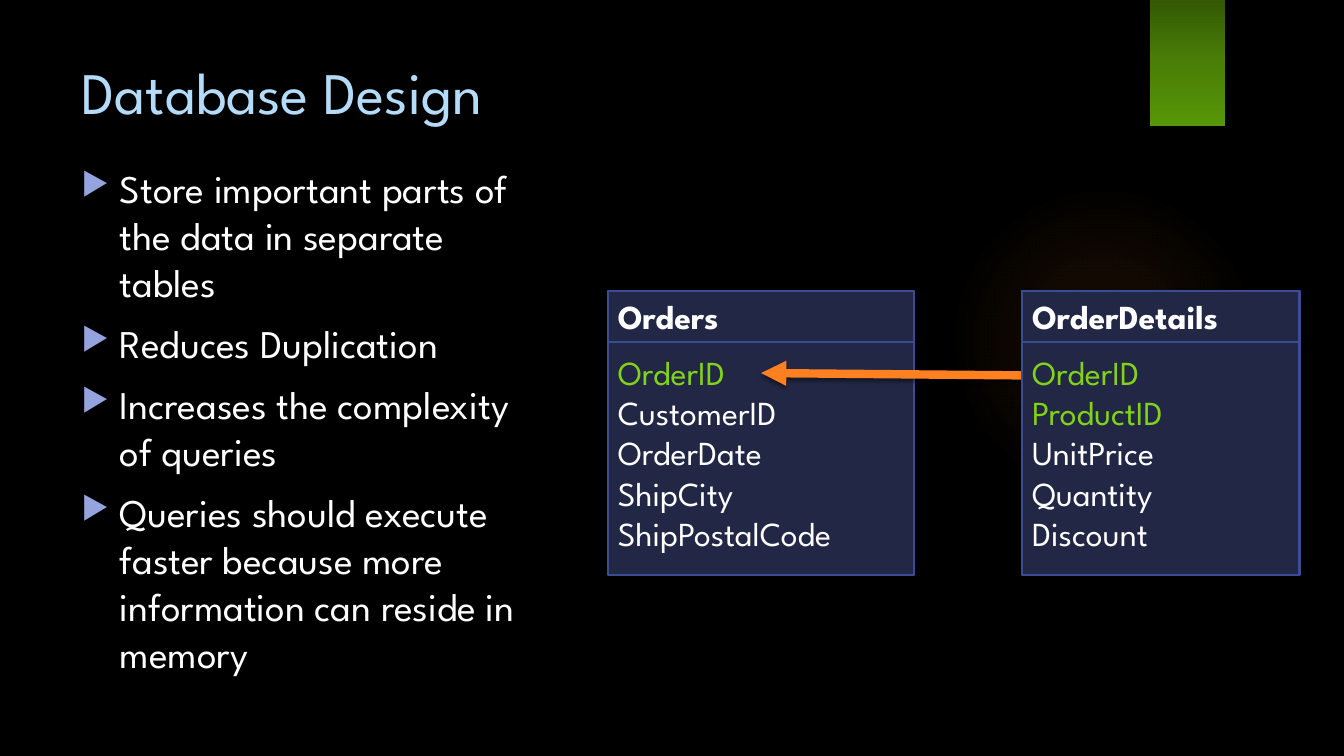
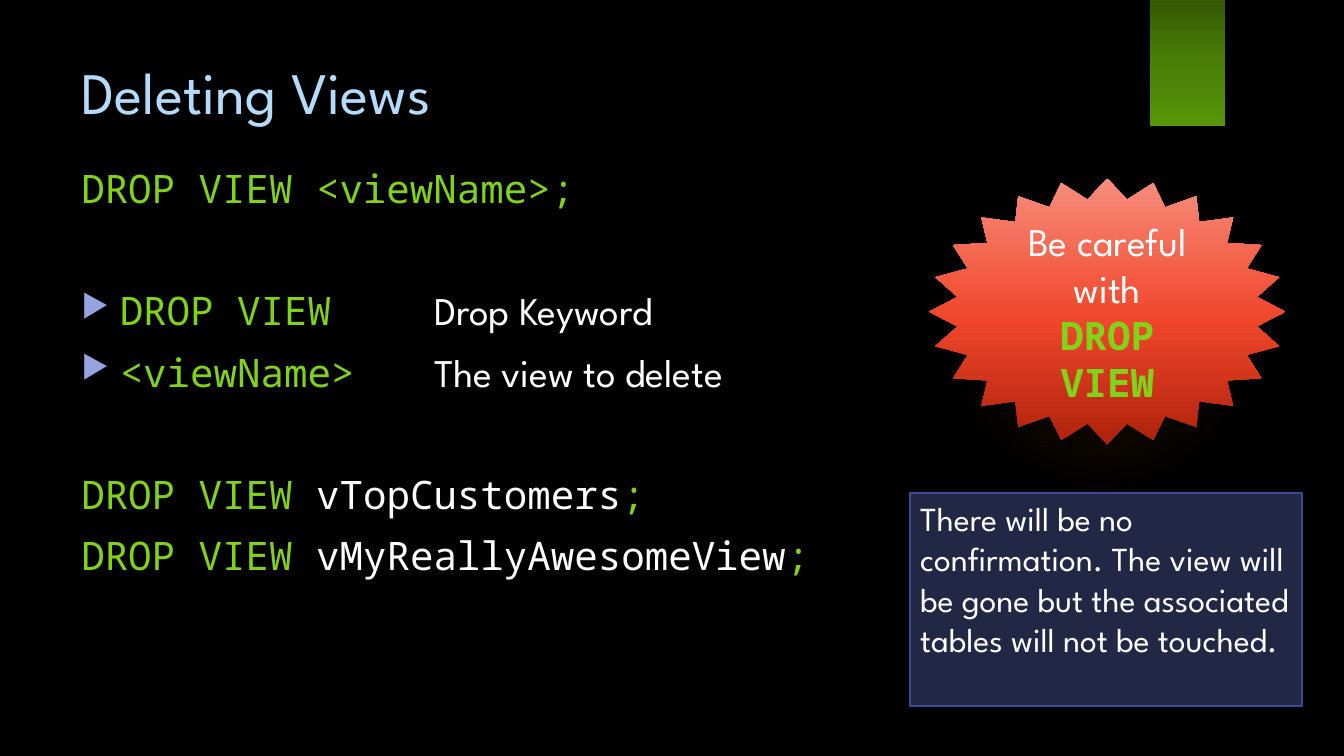
from lxml import etree
from pptx import Presentation
from pptx import util as u
from pptx.dml.color import RGBColor
from pptx.enum import shapes, text
from pptx.oxml.ns import qn

COLORS = {
    "black": "000000", "white": "FFFFFF", "sky": "B4DCFA", "lime": "81D31A",
    "navy": "212745", "edge": "3A4C94", "bullet": "95A4DE", "orange": "FF8021",
}
SANS, MONO = "League Spartan", "Noto Sans Mono"
STYLES = {
    "title": {"size": 42, "name": SANS, "color": "sky"},
    "body": {"size": 28, "name": SANS, "color": "white"},
    "code": {"size": 28, "name": MONO, "color": "lime"},
    "view": {"size": 28, "name": MONO, "color": "white"},
    "warn": {"size": 28, "name": MONO, "color": "lime", "bold": True},
    "warn_gap": {"size": 16, "name": MONO, "color": "lime", "bold": True},
    "head": {"size": 24, "name": SANS, "color": "white", "bold": True},
    "field": {"size": 24, "name": SANS, "color": "white"},
    "key": {"size": 24, "name": SANS, "color": "lime"},
}
GLOW = [(0, "FF8021", 7), (36, "FF8021", 6), (69, "FF8021", 0)]
GREEN = [(0, "345905", 100), (50, "4A7F07", 100), (100, "579608", 100)]
RED = [(0, "AE220B", 100), (48, "F1472B", 100), (100, "F78D7C", 100)]
SOFT, DEEP = (45, 3, 2, 90), (40, 4, 3, 45)
INDENT, TAB = 0.97, 8.89

REASONS = [
    "Store important parts of the data in separate tables",
    "Reduces Duplication",
    "Increases the complexity of queries",
    "Queries should execute faster because more information can reside in memory",
]
TABLES = [
    {"name": "Orders", "left": 15.32, "width": 7.72, "keys": ["OrderID"],
     "fields": ["CustomerID", "OrderDate", "ShipCity", "ShipPostalCode"]},
    {"name": "OrderDetails", "left": 25.76, "width": 6.99, "keys": ["OrderID", "ProductID"],
     "fields": ["UnitPrice", "Quantity", "Discount"]},
]
CARD_TOP, CARD_HEIGHT, HEAD_HEIGHT = 7.34, 7.16, 1.27
SYNTAX = [
    {"runs": [("DROP VIEW <viewName>;", "code")]},
    {"runs": [("DROP VIEW", "code"), ("\tDrop Keyword", "body")], "bullet": True, "before": 54},
    {"runs": [("<viewName>", "code"), ("\tThe view to delete", "body")], "bullet": True},
    {"runs": [("DROP VIEW ", "code"), ("vTopCustomers", "view"), (";", "code")], "before": 54},
    {"runs": [("DROP VIEW ", "code"), ("vMyReallyAwesomeView", "view"), (";", "code")]},
]
WARNING = [("Be careful with", "body"), None,
           ("DROP", "warn"), (" ", "warn_gap"), ("VIEW", "warn")]
NOTE = ("There will be no confirmation. The view will be gone "
        "but the associated tables will not be touched.")


def box(*lengths):
    return [u.Cm(v) for v in lengths]


def rgb(name):
    return RGBColor.from_string(COLORS[name])


def sub(parent, tag, **attrs):
    el = etree.SubElement(parent, qn("a:" + tag))
    for k, v in attrs.items():
        el.set(k, str(v))
    return el


def color(parent, value, alpha=100):
    clr = sub(parent, "srgbClr", val=value)
    if alpha < 100:
        sub(clr, "alpha", val=alpha * 1000)


def gradient(sp, stops, angle=None):
    sp.fill.gradient()
    grad = sp._element.spPr.find(qn("a:gradFill"))
    for child in list(grad):
        grad.remove(child)
    gs = sub(grad, "gsLst")
    for pos, value, alpha in stops:
        color(sub(gs, "gs", pos=pos * 1000), value, alpha)
    if angle is None:
        sub(sub(grad, "path", path="circle"), "fillToRect", l=50000, t=50000, r=50000, b=50000)
    else:
        sub(grad, "lin", ang=angle * 60000, scaled=0)


def shadow(sp, alpha, blur, dist, angle):
    effects = sp._element.spPr.find(qn("a:effectLst"))
    if effects is None:
        effects = sub(sp._element.spPr, "effectLst")
    outer = sub(effects, "outerShdw", blurRad=u.Pt(blur), dist=u.Pt(dist),
                dir=angle * 60000, algn="tl", rotWithShape=0)
    color(outer, COLORS["black"], alpha)


def add_shape(parent, kind, area, shade=None):
    sp = parent.shapes.add_shape(kind, *box(*area))
    sp.shadow.inherit = False
    sp.line.fill.background()
    if shade:
        shadow(sp, *shade)
    return sp


def add_panel(parent, area, shade=None):
    sp = add_shape(parent, shapes.MSO_SHAPE.RECTANGLE, area, shade)
    sp.fill.solid()
    sp.fill.fore_color.rgb = rgb("navy")
    sp.line.color.rgb = rgb("edge")
    sp.line.width = u.Pt(1.5)
    return sp


def add_bullet(p):
    pPr = p._p.get_or_add_pPr()
    pPr.set("marL", str(u.Cm(INDENT)))
    pPr.set("indent", str(-u.Cm(INDENT)))
    color(sub(pPr, "buClr"), COLORS["bullet"])
    sub(pPr, "buSzPct", val=80000)
    sub(pPr, "buChar", char="▶")
    sub(sub(pPr, "tabLst"), "tab", pos=u.Cm(TAB), algn="l")


def write(tf, paras, before=0, align=text.PP_ALIGN.LEFT, **frame):
    for k, v in {"word_wrap": True, "vertical_anchor": text.MSO_ANCHOR.TOP, **frame}.items():
        setattr(tf, k, v)
    for i, para in enumerate(paras):
        p = tf.add_paragraph() if i else tf.paragraphs[0]
        p.alignment = align
        if para.get("bullet"):
            add_bullet(p)
        if i:
            p.space_before = u.Pt(para.get("before", before))
        for run in para["runs"]:
            if run is None:
                p.add_line_break()
                continue
            r = p.add_run()
            r.text = run[0]
            fmt = dict(STYLES[run[1]])
            r.font.color.rgb = rgb(fmt.pop("color"))
            fmt["size"] = u.Pt(fmt["size"])
            for k, v in fmt.items():
                setattr(r.font, k, v)


def lines(items, style, **extra):
    return [{"runs": [(item, style)], **extra} for item in items]


def add_slide(prs, title):
    s = prs.slides.add_slide(prs.slide_layouts[5])
    gradient(add_shape(s, shapes.MSO_SHAPE.OVAL, (23.9, 4.65, 7.82, 7.82)), GLOW)
    gradient(add_shape(s, shapes.MSO_SHAPE.RECTANGLE, (28.98, 0, 1.9, 3.18), SOFT), GREEN, 90)
    sp = s.shapes.title
    sp.left, sp.top, sp.width, sp.height = box(1.8, 1.27, 26.14, 2.06)
    write(sp.text_frame, lines([title], "title"), vertical_anchor=text.MSO_ANCHOR.MIDDLE)
    return s


def add_body(s, paras, width, height):
    sp = s.shapes.add_textbox(*box(1.8, 4.01, width, height))
    write(sp.text_frame, paras, before=10)


def add_card(s, table):
    group = s.shapes.add_group_shape()
    left, width = table["left"], table["width"]
    sp = add_panel(group, (left, CARD_TOP, width, CARD_HEIGHT), DEEP)
    write(sp.text_frame, lines(table["keys"], "key") + lines(table["fields"], "field"),
          margin_top=u.Cm(1.52))
    sp = add_panel(group, (left, CARD_TOP, width, HEAD_HEIGHT))
    write(sp.text_frame, lines([table["name"]], "head"), vertical_anchor=text.MSO_ANCHOR.MIDDLE)


def add_arrow(s, *ends):
    line = s.shapes.add_connector(shapes.MSO_CONNECTOR.STRAIGHT, *box(*ends))
    line.line.color.rgb = rgb("orange")
    line.line.width = u.Pt(6)
    sub(line.line._get_or_add_ln(), "tailEnd", type="triangle")
    shadow(line, *SOFT)


def design_slide(prs):
    s = add_slide(prs, "Database Design")
    add_body(s, lines(REASONS, "body", bullet=True), 12.12, 14.58)
    orders, details = TABLES
    add_card(s, orders)
    add_arrow(s, 26.95, 9.47, 19.18, 9.4)
    add_card(s, details)


def views_slide(prs):
    s = add_slide(prs, "Deleting Views")
    add_body(s, SYNTAX, 30.63, 15.04)
    star = add_shape(s, shapes.MSO_SHAPE.STAR_24_POINT, (23.42, 4.5, 8.97, 6.71), DEEP)
    star.adjustments[0] = 0.424
    gradient(star, RED, 270)
    write(star.text_frame, [{"runs": WARNING}], align=text.PP_ALIGN.CENTER,
          vertical_anchor=text.MSO_ANCHOR.MIDDLE)
    note = add_panel(s, (22.94, 12.42, 9.88, 5.38), DEEP)
    write(note.text_frame, lines([NOTE], "field"))


def main():
    prs = Presentation()
    prs.slide_width, prs.slide_height = box(33.87, 19.05)
    fill = prs.slide_master.background.fill
    fill.solid()
    fill.fore_color.rgb = rgb("black")
    design_slide(prs)
    views_slide(prs)
    prs.save("out.pptx")


if __name__ == "__main__":
    main()
